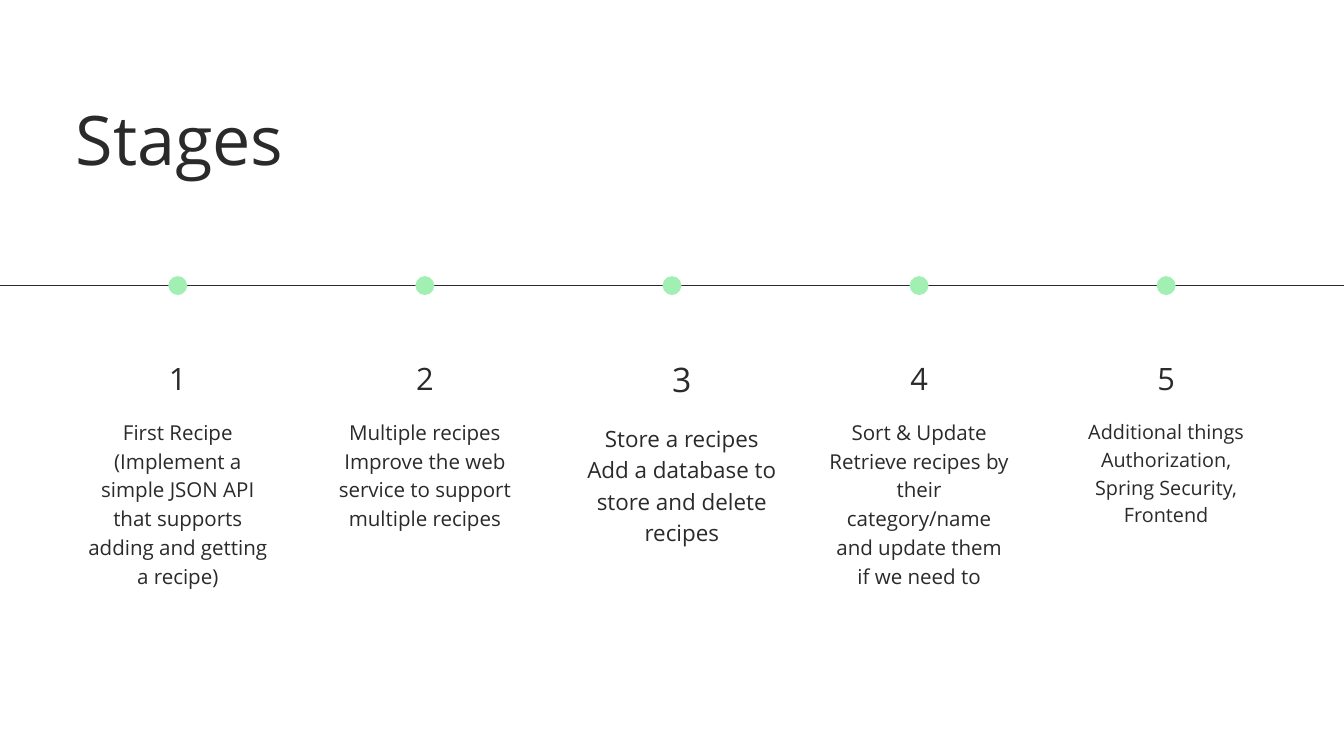
from dataclasses import dataclass

from lxml import etree
from pptx import Presentation
from pptx.dml.color import RGBColor
from pptx.enum.shapes import MSO_CONNECTOR, MSO_SHAPE
from pptx.enum.text import MSO_ANCHOR, MSO_AUTO_SIZE, PP_ALIGN
from pptx.oxml.ns import qn
from pptx.util import Pt

STRAIGHT = MSO_CONNECTOR.STRAIGHT
OVAL = MSO_SHAPE.OVAL
TOP = MSO_ANCHOR.TOP
GROW = MSO_AUTO_SIZE.SHAPE_TO_FIT_TEXT
LEFT, CENTER = PP_ALIGN.LEFT, PP_ALIGN.CENTER
TITLE_ONLY = 5

# Lengths in px, 96 to the inch
EMU_PER_PX = 9525
SLIDE_W, SLIDE_H = 1920, 1080
TIMELINE_Y = 408
DOT_SIZE = 27
STAGE_STEP = 353


@dataclass(frozen=True)
class Theme:
    font: str = "Open Sans"
    ink: RGBColor = RGBColor(0x2A, 0x2A, 0x2A)
    dot: RGBColor = RGBColor(0xA1, 0xEF, 0xB2)
    title_size: float = 73.2
    number_size: float = 33
    body_size: float = 22
    large_number_size: float = 36.2
    large_body_size: float = 24
    small_body_size: float = 21.2
    line_width: float = 0.75
    heading_leading: float = 1.2
    body_leading: float = 1.4


THEME = Theme()


@dataclass(frozen=True)
class Stage:
    description: str
    height: int
    number_size: float = THEME.number_size
    body_size: float = THEME.body_size
    shift: int = 0
    width: int = 258
    number_top: int = 514
    number_height: int = 53
    body_top: int = 594


STAGES = [
    Stage("First Recipe (Implement a simple JSON API that supports "
          "adding and getting a recipe)", 242),
    Stage("Multiple recipes\n"
          "Improve the web service to support multiple recipes", 161),
    Stage("Store a recipes\nAdd a database to store and delete recipes", 219,
          THEME.large_number_size, THEME.large_body_size, shift=14, width=283,
          number_top=512, number_height=58, body_top=601),
    Stage("Sort & Update\nRetrieve recipes by their category/name "
          "and update them if we need to", 282),
    Stage("Additional things\nAuthorization, Spring Security, Frontend", 155,
          body_size=THEME.small_body_size),
]


def px(length: float) -> int:
    return round(length * EMU_PER_PX)


def write(shape, text: str, size: float, leading: float, align) -> None:
    frame = shape.text_frame
    frame.text = text
    frame.word_wrap = True
    frame.auto_size = GROW
    frame.vertical_anchor = TOP
    frame.margin_left = frame.margin_right = 0
    frame.margin_top = frame.margin_bottom = 0
    for paragraph in frame.paragraphs:
        paragraph.alignment = align
        paragraph.line_spacing = Pt(round(size * leading, 1))
        for run in paragraph.runs:
            run.font.name = THEME.font
            run.font.size = Pt(size)
            run.font.color.rgb = THEME.ink


def add_title(slide, text: str) -> None:
    title = slide.shapes.title
    title.left, title.top = px(108), px(139)
    title.width, title.height = px(1491), px(116)
    write(title, text, THEME.title_size, THEME.heading_leading, LEFT)


def add_timeline(slide) -> None:
    timeline = slide.shapes.add_connector(
        STRAIGHT, 0, px(TIMELINE_Y), px(SLIDE_W), px(TIMELINE_Y))
    timeline.line.color.rgb = THEME.ink
    timeline.line.width = Pt(THEME.line_width)
    etree.SubElement(timeline._element.spPr, qn("a:effectLst"))


def add_stage(slide, stage: Stage, number: int, center: int) -> None:
    dot = slide.shapes.add_shape(
        OVAL, px(center - DOT_SIZE / 2), px(TIMELINE_Y - DOT_SIZE / 2),
        px(DOT_SIZE), px(DOT_SIZE))
    dot.shadow.inherit = False
    dot.fill.solid()
    dot.fill.fore_color.rgb = THEME.dot
    dot.line.fill.background()

    left = px(center + stage.shift - stage.width / 2)
    heading = slide.shapes.add_textbox(
        left, px(stage.number_top), px(stage.width), px(stage.number_height))
    write(heading, str(number), stage.number_size, THEME.heading_leading, CENTER)
    description = slide.shapes.add_textbox(
        left, px(stage.body_top), px(stage.width), px(stage.height))
    write(description, stage.description, stage.body_size, THEME.body_leading, CENTER)


def main() -> None:
    deck = Presentation()
    deck.slide_width, deck.slide_height = px(SLIDE_W), px(SLIDE_H)
    slide = deck.slides.add_slide(deck.slide_layouts[TITLE_ONLY])

    add_title(slide, "Stages")
    add_timeline(slide)

    # Stages spread evenly around the middle of the slide
    first_center = SLIDE_W // 2 - STAGE_STEP * (len(STAGES) // 2)
    for index, stage in enumerate(STAGES):
        add_stage(slide, stage, index + 1, first_center + index * STAGE_STEP)

    deck.save("out.pptx")


if __name__ == "__main__":
    main()
